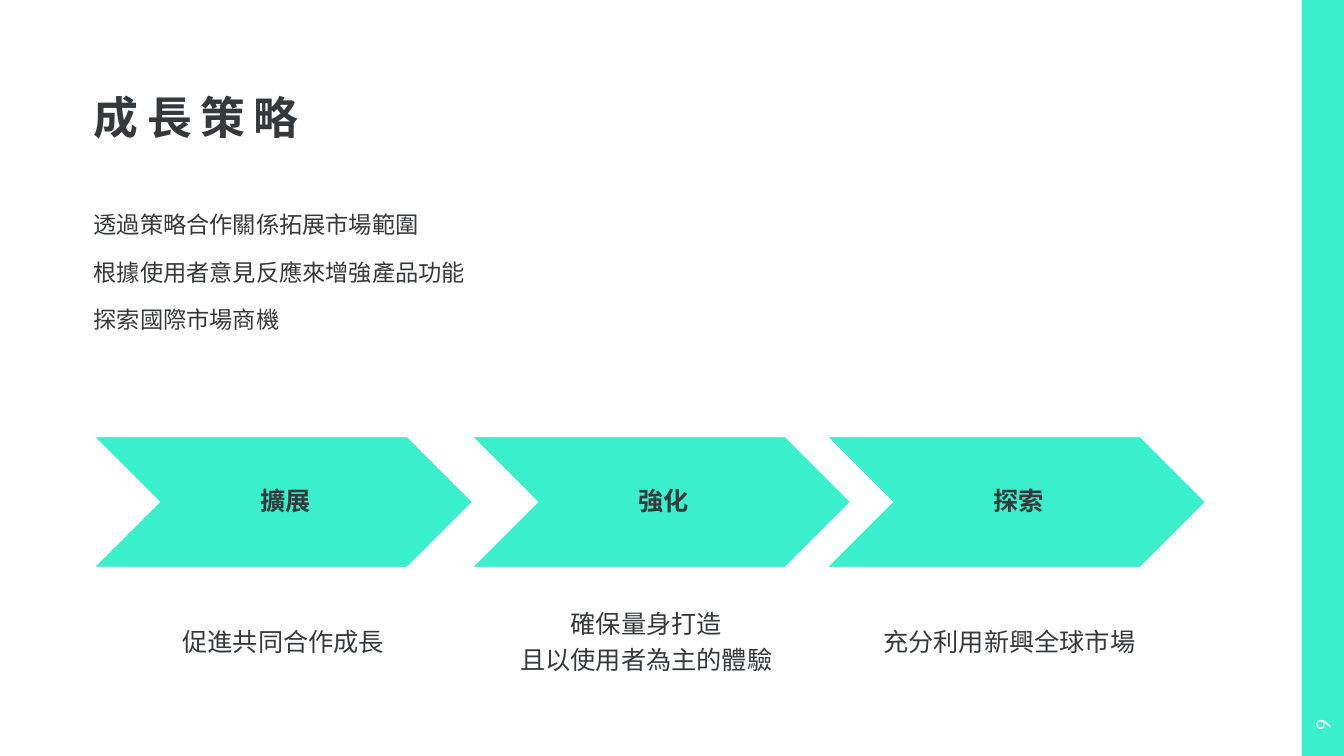
from lxml import etree
from pptx import Presentation
from pptx.dml.color import RGBColor
from pptx.enum.shapes import MSO_SHAPE
from pptx.enum.text import MSO_ANCHOR, MSO_AUTO_SIZE, PP_ALIGN
from pptx.oxml.ns import qn
from pptx.util import Inches, Pt

MINT = RGBColor(0x3A, 0xEF, 0xCC)
INK = RGBColor(0x36, 0x39, 0x3B)
WHITE = RGBColor(0xFF, 0xFF, 0xFF)
CJK_FONT = "Noto Sans CJK TC"

WIDTH, HEIGHT = 13.33, 7.5
MARGIN = 0.93
BAR_WIDTH = 0.42
CHEVRON_TOP, CHEVRON_WIDTH, CHEVRON_HEIGHT = 4.33, 3.76, 1.3
CAPTION_WIDTH, CAPTION_HEIGHT, CAPTION_STEP = 3.46, 1.08, 3.6

STEPS = [
    (MARGIN, "擴展", "促進共同合作成長"),
    (4.68, "強化", "確保量身打造\v且以使用者為主的體驗"),
    (8.2, "探索", "充分利用新興全球市場"),
]


def place(shape, left, top, width, height):
    shape.left, shape.top = Inches(left), Inches(top)
    shape.width, shape.height = Inches(width), Inches(height)


def style(frame, font, size, align, spacing=1.0, color=INK, bold=False, insets=(0, 0, 0, 0),
          anchor=MSO_ANCHOR.MIDDLE):
    """Format a text frame and all its runs; insets run left, top, right, bottom."""
    frame.word_wrap = True
    frame.auto_size = MSO_AUTO_SIZE.NONE
    frame.vertical_anchor = anchor
    (frame.margin_left, frame.margin_top,
     frame.margin_right, frame.margin_bottom) = [Inches(inset) for inset in insets]
    for paragraph in frame.paragraphs:
        paragraph.alignment = align
        paragraph.line_spacing = spacing
        paragraph.space_before = Pt(0)
        for run in paragraph.runs:
            run.font.name, run.font.size, run.font.bold = font, Pt(size), bold
            run.font.color.rgb = color
            etree.SubElement(run.font._element, qn("a:ea"), typeface=CJK_FONT)


prs = Presentation()
prs.slide_width, prs.slide_height = Inches(WIDTH), Inches(HEIGHT)
slide = prs.slides.add_slide(prs.slide_layouts[1])
shapes = slide.shapes

# Side bar
side_bar = shapes.add_shape(MSO_SHAPE.RECTANGLE, 0, 0, 0, 0)
place(side_bar, WIDTH - BAR_WIDTH, 0, BAR_WIDTH, HEIGHT)
side_bar.shadow.inherit = False
side_bar.fill.solid()
side_bar.fill.fore_color.rgb = MINT
side_bar.line.fill.background()

# Title and goals
title = shapes.title
place(title, MARGIN, 0, 11.07, 1.43)
title.text_frame.text = "成長策略"
style(title.text_frame, CJK_FONT, 32, PP_ALIGN.LEFT, 0.9, bold=True, anchor=MSO_ANCHOR.BOTTOM)
title.text_frame.paragraphs[0].runs[0].font._element.set("spc", "600")

goals = slide.placeholders[1]
place(goals, MARGIN, 2.01, 11.03, 1.56)
goals.text_frame.text = "透過策略合作關係拓展市場範圍\n根據使用者意見反應來增強產品功能\n探索國際市場商機"
for goal in goals.text_frame.paragraphs:
    properties = goal._p.get_or_add_pPr()
    properties.set("marL", "0")
    properties.set("indent", "0")
    etree.SubElement(properties, qn("a:buNone"))
    goal.space_after = Pt(12)
style(goals.text_frame, CJK_FONT, 16.6, PP_ALIGN.LEFT, 1.1,
      insets=(0, 0.05, 0.1, 0.05), anchor=MSO_ANCHOR.TOP)

# Strategy steps: a labelled chevron with a caption below
first_caption_left = MARGIN + (CHEVRON_WIDTH - CAPTION_WIDTH) / 2
for index, (left, label, caption_text) in enumerate(STEPS):
    chevron = shapes.add_shape(MSO_SHAPE.CHEVRON, 0, 0, 0, 0)
    place(chevron, left, CHEVRON_TOP, CHEVRON_WIDTH, CHEVRON_HEIGHT)
    chevron.shadow.inherit = False
    chevron.fill.solid()
    chevron.fill.fore_color.rgb = MINT
    chevron.line.color.rgb = WHITE
    chevron.line.width = Pt(1)
    chevron.text_frame.text = label
    style(chevron.text_frame, "Montserrat", 18, PP_ALIGN.CENTER, 0.9, bold=True,
          insets=(0.08, 0.03, 0.03, 0.03))

    caption = shapes.add_textbox(0, 0, 0, 0)
    place(caption, first_caption_left + index * CAPTION_STEP, 5.79, CAPTION_WIDTH, CAPTION_HEIGHT)
    caption.text_frame.text = caption_text
    style(caption.text_frame, "Lato", 18, PP_ALIGN.CENTER, 1.2)

# Page number, turned to run along the side bar
page_number = shapes.add_textbox(0, 0, 0, 0)
place(page_number, WIDTH - BAR_WIDTH / 2 - 0.31, 6.98, 0.62, BAR_WIDTH)
page_number.rotation = 270
page_number.text_frame.text = "9"
style(page_number.text_frame, "Lato", 14, PP_ALIGN.CENTER, color=WHITE,
      insets=(0.1, 0.05, 0.1, 0.05))

prs.save("out.pptx")
